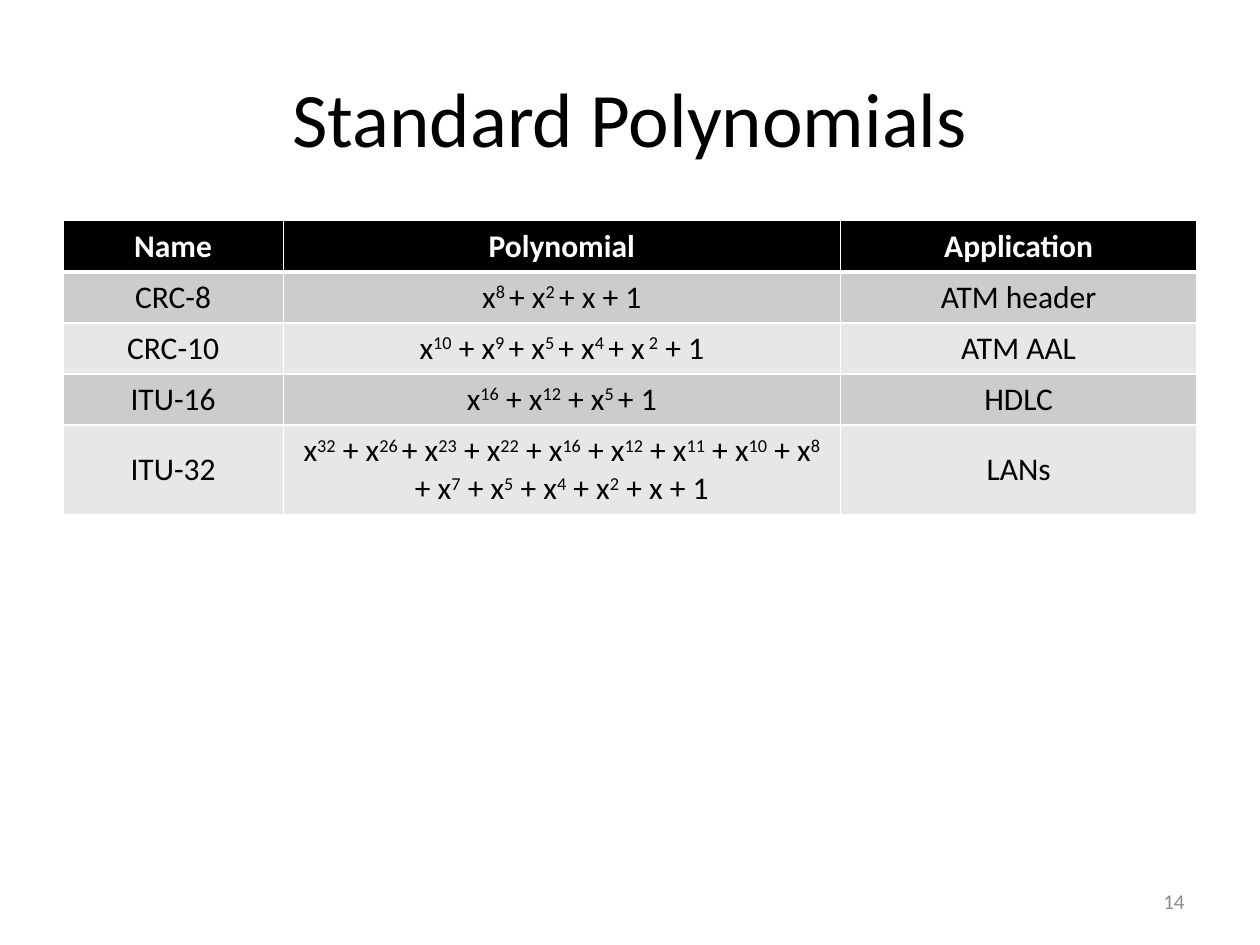
from lxml.etree import SubElement
from pptx import Presentation
from pptx.dml.color import RGBColor
from pptx.enum.text import MSO_ANCHOR as Anchor, PP_ALIGN as Align
from pptx.oxml.ns import qn
from pptx.util import Cm, Pt

TITLE = "Standard Polynomials"
PAGE = "14"
HEADINGS = ("Name", "Polynomial", "Application")
STANDARDS = [
    ("CRC-8", "x^8 ^+ x^2 ^+ x + 1", "ATM header"),
    ("CRC-10", "x^10^ + x^9 ^+ x^5 ^+ x^4 ^+ x^ 2^ + 1", "ATM AAL"),
    ("ITU-16", "x^16^ + x^12^ + x^5 ^+ 1", "HDLC"),
    ("ITU-32", "x^32^ + x^26 ^+ x^23^ + x^22^ + x^16^ + x^12^ + x^11^ + x^10^"
               " + x^8^ + x^7^ + x^5^ + x^4^ + x^2^ + x + 1", "LANs"),
]
COLUMN_WIDTHS = (4.44, 11.23, 7.19)
ROW_HEIGHTS = (1.03, 1.03, 1.03, 1.03, 1.79)
BANDS = ("CCCCCC", "E7E7E7")
LEFT, WIDTH = 1.27, 22.86
HEADING_FONT = {"size": Pt(18), "name": "Calibri", "bold": True}
BODY_FONT = {**HEADING_FONT, "bold": False}
TITLE_FONT = {**BODY_FONT, "size": Pt(44)}
PAGE_FONT = {**BODY_FONT, "size": Pt(12)}


def paint(color_format, color):
    color_format.rgb = RGBColor.from_string(color)


def write(frame, text, font, color, align=Align.CENTER):
    paragraph = frame.paragraphs[0]
    paragraph.alignment = align
    frame.vertical_anchor = Anchor.MIDDLE
    frame.word_wrap = True
    for position, part in enumerate(text.split("^")):
        run = paragraph.add_run()
        run.text = part
        for attribute, value in font.items():
            setattr(run.font, attribute, value)
        paint(run.font.color, color)
        if position % 2:
            run.font._element.set("baseline", "30000")


def add_borders(cell, row):
    properties = cell._tc.get_or_add_tcPr()
    heavy_side = {0: "B", 1: "T"}.get(row)
    for side in "LRTB":
        points = 3 if side == heavy_side else 1
        line = SubElement(properties, qn(f"a:ln{side}"), w=str(Pt(points)))
        fill = SubElement(line, qn("a:solidFill"))
        SubElement(fill, qn("a:srgbClr"), val="FFFFFF")


def add_standards(slide):
    rows = [HEADINGS, *STANDARDS]
    table = slide.shapes.add_table(
        len(rows), len(HEADINGS), Cm(LEFT), Cm(4.45), Cm(WIDTH), Cm(sum(ROW_HEIGHTS))
    ).table
    for column, width in zip(table.columns, COLUMN_WIDTHS):
        column.width = Cm(width)
    for row, (texts, height) in enumerate(zip(rows, ROW_HEIGHTS)):
        table.rows[row].height = Cm(height)
        font, ink = (BODY_FONT, "000000") if row else (HEADING_FONT, "FFFFFF")
        band = BANDS[(row - 1) % 2] if row else "000000"
        for column, text in enumerate(texts):
            cell = table.cell(row, column)
            add_borders(cell, row)
            cell.fill.solid()
            paint(cell.fill.fore_color, band)
            write(cell.text_frame, text, font, ink)
            cell.vertical_anchor = Anchor.MIDDLE


def main():
    deck = Presentation()
    deck.slide_width, deck.slide_height = Cm(25.4), Cm(19.05)
    slide = deck.slides.add_slide(deck.slide_layouts[5])

    title = slide.shapes.title
    title.left, title.top, title.width, title.height = map(Cm, (LEFT, 0.76, WIDTH, 3.18))
    write(title.text_frame, TITLE, TITLE_FONT, "000000")

    add_standards(slide)

    page = slide.shapes.add_textbox(*map(Cm, (18.2, 17.66, 5.93, 1.01)))
    write(page.text_frame, PAGE, PAGE_FONT, "8C8C8C", Align.RIGHT)

    deck.save("out.pptx")


if __name__ == "__main__":
    main()
